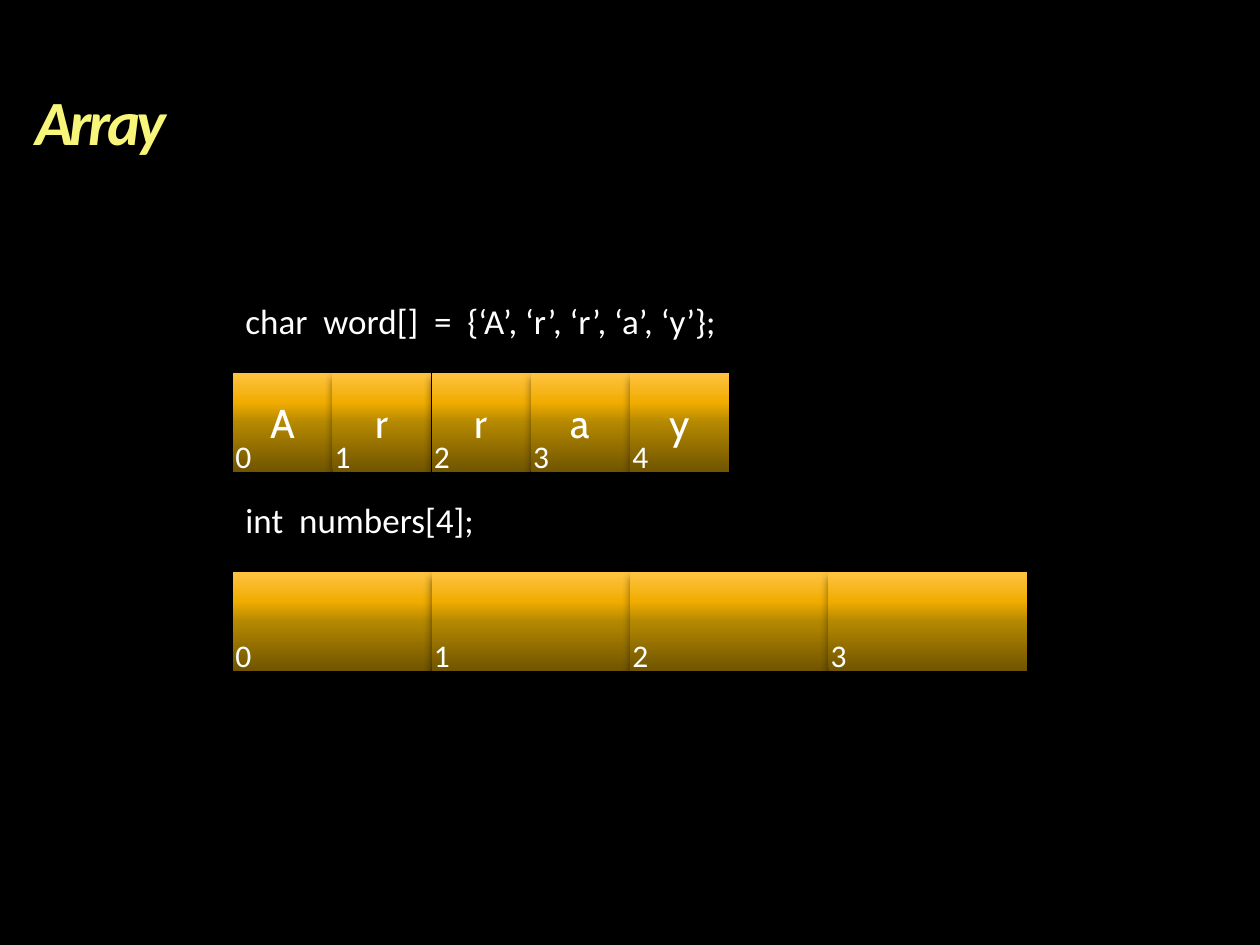
from dataclasses import dataclass

from lxml.etree import SubElement
from pptx import Presentation
from pptx.dml.color import RGBColor
from pptx.enum.shapes import MSO_SHAPE as Shape
from pptx.enum.text import MSO_ANCHOR as Anchor, MSO_AUTO_SIZE as AutoSize, PP_ALIGN as Align
from pptx.oxml import parse_xml
from pptx.oxml.ns import nsdecls, qn
from pptx.util import Inches, Pt

COLORS = {"background": "000000", "text": "FFFFFF", "shadow": "000000"}
GOLD_STOPS = [(0, "705400"), (50, "B48800"), (70, "F0AC00"), (100, "FFC342")]
TITLE_STOPS = [(0, "FFEBD4"), (28, "F8F57B"), (62, "D5B953"), (88, "D1943B")]
LEFT = 1.85
UNIT = 0.7875  # side of a one-character cell


@dataclass
class ArrayRow:
    declaration: str
    values: list[str]
    top: float
    cell_width: float

    def cell_left(self, index: int) -> float:
        return LEFT + index * self.cell_width


ROWS = [
    ArrayRow("char  word[]  =  {‘A’, ‘r’, ‘r’, ‘a’, ‘y’};", list("Array"), 2.96, UNIT),
    ArrayRow("int  numbers[4];", [""] * 4, 4.54, 2 * UNIT),
]


def gradient(stops: list[tuple[int, str]], angle: int):
    marks = "".join(
        f'<a:gs pos="{position * 1000}"><a:srgbClr val="{color}"/></a:gs>'
        for position, color in stops
    )
    return parse_xml(
        f'<a:gradFill {nsdecls("a")} rotWithShape="1"><a:gsLst>{marks}</a:gsLst>'
        f'<a:lin ang="{angle * 60000}" scaled="0"/></a:gradFill>'
    )


def style_text(paragraph, size: float, font: str = "Calibri") -> None:
    for span in paragraph.runs:
        span.font.name = font
        span.font.size = Pt(size)
        span.font.color.rgb = RGBColor.from_string(COLORS["text"])


def add_cell(page, row: ArrayRow, index: int) -> None:
    cell = page.shapes.add_shape(
        Shape.RECTANGLE, Inches(row.cell_left(index)), Inches(row.top),
        Inches(row.cell_width), Inches(UNIT),
    )
    properties = cell._element.spPr
    properties.append(gradient(GOLD_STOPS, 270))
    cell.line.fill.background()
    # Soft shadow below the cell
    cell.shadow.inherit = False
    shadow = SubElement(
        properties.find(qn("a:effectLst")), qn("a:outerShdw"),
        blurRad=str(Pt(5)), dist=str(Pt(3)), dir="5400000", rotWithShape="0",
    )
    color = SubElement(shadow, qn("a:srgbClr"), val=COLORS["shadow"])
    SubElement(color, qn("a:alpha"), val="45000")
    if row.values[index]:
        frame = cell.text_frame
        frame.text = row.values[index]
        frame.vertical_anchor = Anchor.MIDDLE
        frame.paragraphs[0].alignment = Align.CENTER
        style_text(frame.paragraphs[0], 23, "Cabin")


def add_label(page, text: str, left: float, top: float, width: float,
              height: float, size: float) -> None:
    box = page.shapes.add_textbox(Inches(left), Inches(top), Inches(width), Inches(height))
    frame = box.text_frame
    frame.text = text
    frame.word_wrap = False
    frame.auto_size = AutoSize.SHAPE_TO_FIT_TEXT
    style_text(frame.paragraphs[0], size)


def add_title(page, text: str) -> None:
    title = page.shapes.title
    title.left, title.top = Inches(0.28), Inches(0.6)
    title.width, title.height = Inches(9.45), Inches(0.79)
    frame = title.text_frame
    frame.text = text
    frame.auto_size = AutoSize.NONE
    frame.vertical_anchor = Anchor.MIDDLE
    frame.margin_left = frame.margin_right = frame.margin_top = frame.margin_bottom = 0
    paragraph = frame.paragraphs[0]
    paragraph.alignment = Align.LEFT
    paragraph.line_spacing = 0.9
    span = paragraph.runs[0]
    span.font.name = "Calibri"
    span.font.size = Pt(36)
    span.font.bold = span.font.italic = True
    # Gradient letters, set tight
    properties = span._r.get_or_add_rPr()
    properties.set("spc", "-200")
    properties.insert(0, gradient(TITLE_STOPS, 90))


# Slide
deck = Presentation()
deck.slide_width, deck.slide_height = Inches(10), Inches(7.5)
page = deck.slides.add_slide(deck.slide_layouts[5])
page.background.fill.solid()
page.background.fill.fore_color.rgb = RGBColor.from_string(COLORS["background"])
add_title(page, "Array")

# Arrays: cells first, then declarations and indices on top
for row in ROWS:
    for index in range(len(row.values)):
        add_cell(page, row, index)
for row, width in zip(ROWS, (3.97, 2.03)):
    add_label(page, row.declaration, LEFT, row.top - 0.63, width, 0.44, 20)
    for index in range(len(row.values)):
        add_label(page, str(index), row.cell_left(index) - 0.08, row.top + 0.46, 0.33, 0.4, 18)

deck.save("out.pptx")
